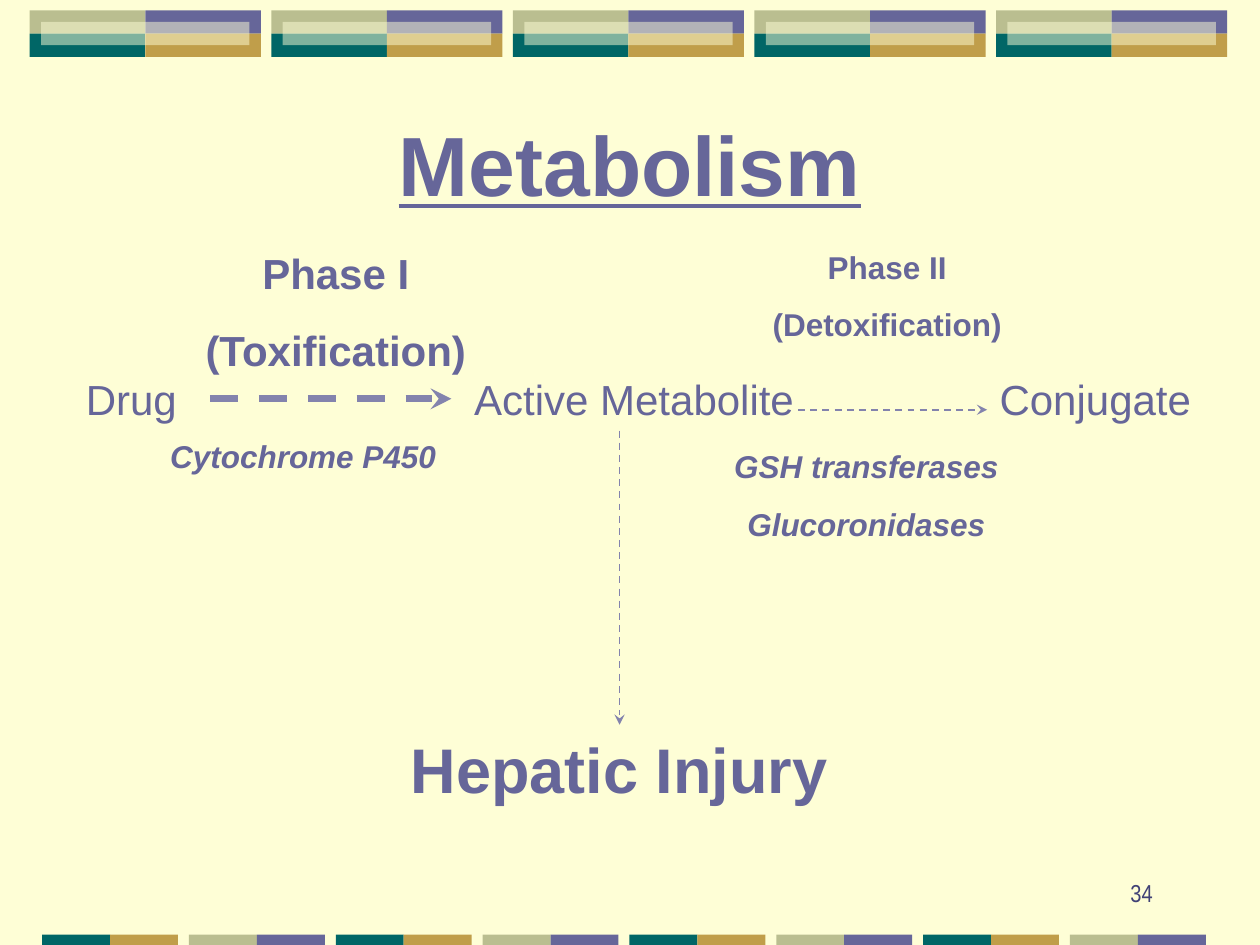
from lxml.etree import SubElement
from pptx import Presentation
from pptx.dml.color import RGBColor
from pptx.enum.dml import MSO_LINE
from pptx.enum.shapes import MSO_CONNECTOR, MSO_SHAPE
from pptx.enum.text import MSO_ANCHOR, PP_ALIGN
from pptx.oxml.ns import qn
from pptx.util import Cm, Pt

COLORS = {
    "background": "FEFED6", "violet": "666699", "gold": "C09E4A", "teal": "006666",
    "sage": "BABE90", "arrow": "8383AD", "number": "404176",
}

# Text styles
LEFT, CENTER, RIGHT = PP_ALIGN.LEFT, PP_ALIGN.CENTER, PP_ALIGN.RIGHT
TITLE = {"size": Pt(48), "bold": True, "underline": True}
STEP = {"size": Pt(24)}
PHASE_ONE = {"size": Pt(24), "bold": True}
PHASE_TWO = {"size": Pt(18), "bold": True}
ENZYME = {"size": Pt(18), "bold": True, "italic": True}
OUTCOME = {"size": Pt(36), "bold": True}
NUMBER = {"size": Pt(14), "name": "Arial Narrow"}

# Content: lines, (left, top, width, height) in cm, alignment, style
TITLE_TEXT, TITLE_BOX = ["Metabolism"], (1.9, 1.7, 21.59, 3.18)
LABELS = [
    (["Drug"], (1.48, 7.41, 3.81, 1.28), LEFT, STEP),
    (["Active Metabolite"], (9.31, 7.41, 6.99, 1.28), LEFT, STEP),
    (["Conjugate"], (19.9, 7.41, 5.08, 1.28), LEFT, STEP),
    (["Phase I", "(Toxification)"], (2.75, 4.87, 8.04, 2.82), CENTER, PHASE_ONE),
    (["Phase II", "(Detoxification)"], (14.18, 4.87, 7.41, 2.19), CENTER, PHASE_TWO),
    (["Hepatic Injury"], (7.83, 14.61, 9.31, 1.78), CENTER, OUTCOME),
    (["Cytochrome P450"], (3.18, 8.68, 6.56, 1.02), LEFT, ENZYME),
    (["GSH transferases", "Glucoronidases"], (13.34, 8.89, 8.25, 2.19), CENTER, ENZYME),
]
NUMBER_TEXT, NUMBER_BOX = ["34"], (18.2, 17.15, 5.29, 1.27)

# Arrows: start and end in cm, width in points
ARROWS = [
    ((4.23, 8.04), (9.1, 8.04), 4),
    ((16.09, 8.26), (19.9, 8.26), 1),
    ((12.49, 8.68), (12.49, 14.61), 1),
]

# Ornament bands in cm
TOP = {"left": 0.6, "top": 0.21, "step": 4.87, "width": 2.33, "height": 0.47, "inset": 0.23}
BOTTOM = {"left": 0.85, "top": 18.84, "step": 2.96, "width": 1.37, "height": 0.21}
TOP_TILES = [["sage", "violet"], ["teal", "gold"]]
BOTTOM_TILES = [["teal", "gold"], ["sage", "violet"]]


def rgb(name):
    return RGBColor.from_string(COLORS[name])


def add_tile(slide, left, top, width, height, color, opacity=None):
    shape = slide.shapes.add_shape(
        MSO_SHAPE.RECTANGLE, Cm(left), Cm(top), Cm(width), Cm(height))
    shape.shadow.inherit = False
    shape.fill.solid()
    shape.fill.fore_color.rgb = rgb(color)
    shape.line.fill.background()
    if opacity:
        color_element = shape._element.spPr.find(qn("a:solidFill"))[0]
        SubElement(color_element, qn("a:alpha"), val=str(opacity * 1000))


def write_text(shape, lines, alignment, style, color="violet", anchor=MSO_ANCHOR.TOP):
    frame = shape.text_frame
    frame.word_wrap = True
    frame.vertical_anchor = anchor
    for index, line in enumerate(lines):
        paragraph = frame.add_paragraph() if index else frame.paragraphs[0]
        paragraph.text = line
        paragraph.alignment = alignment
        if index:
            paragraph.space_before = Pt(style["size"].pt * 0.625)
        for name, value in {"name": "Arial", **style}.items():
            setattr(paragraph.font, name, value)
        paragraph.font.color.rgb = rgb(color)


def add_label(slide, lines, box, alignment, style, **options):
    textbox = slide.shapes.add_textbox(*map(Cm, box))
    write_text(textbox, lines, alignment, style, **options)


def add_arrow(slide, start, end, width):
    connector = slide.shapes.add_connector(
        MSO_CONNECTOR.STRAIGHT, *map(Cm, start + end))
    connector.line.color.rgb = rgb("arrow")
    connector.line.width = Pt(width)
    connector.line.dash_style = MSO_LINE.DASH
    properties = connector._element.spPr
    SubElement(properties.find(qn("a:ln")), qn("a:tailEnd"), type="stealth")
    SubElement(properties, qn("a:effectLst"))


def add_ornaments(slide):
    # Top band: four colour tiles under a translucent bar
    width, height, inset = TOP["width"], TOP["height"], TOP["inset"]
    for block in range(5):
        left = TOP["left"] + block * TOP["step"]
        for row, colors in enumerate(TOP_TILES):
            for column, color in enumerate(colors):
                add_tile(slide, left + column * width, TOP["top"] + row * height,
                         width, height, color)
        add_tile(slide, left + inset, TOP["top"] + inset,
                 2 * (width - inset), height, "background", opacity=50)

    # Bottom band: alternating colour pairs
    for block in range(8):
        left = BOTTOM["left"] + block * BOTTOM["step"]
        for column, color in enumerate(BOTTOM_TILES[block % 2]):
            add_tile(slide, left + column * BOTTOM["width"], BOTTOM["top"],
                     BOTTOM["width"], BOTTOM["height"], color)


def main():
    presentation = Presentation()
    presentation.slide_width, presentation.slide_height = Cm(25.4), Cm(19.05)
    slide = presentation.slides.add_slide(presentation.slide_layouts[5])
    slide.background.fill.solid()
    slide.background.fill.fore_color.rgb = rgb("background")
    add_ornaments(slide)

    # Title
    title = slide.shapes.title
    title.left, title.top, title.width, title.height = map(Cm, TITLE_BOX)
    write_text(title, TITLE_TEXT, CENTER, TITLE, anchor=MSO_ANCHOR.MIDDLE)

    # Pathway
    for label in LABELS:
        add_label(slide, *label)
    for arrow in ARROWS:
        add_arrow(slide, *arrow)

    # Slide number
    add_label(slide, NUMBER_TEXT, NUMBER_BOX, RIGHT, NUMBER,
              color="number", anchor=MSO_ANCHOR.BOTTOM)
    presentation.save("out.pptx")


if __name__ == "__main__":
    main()
